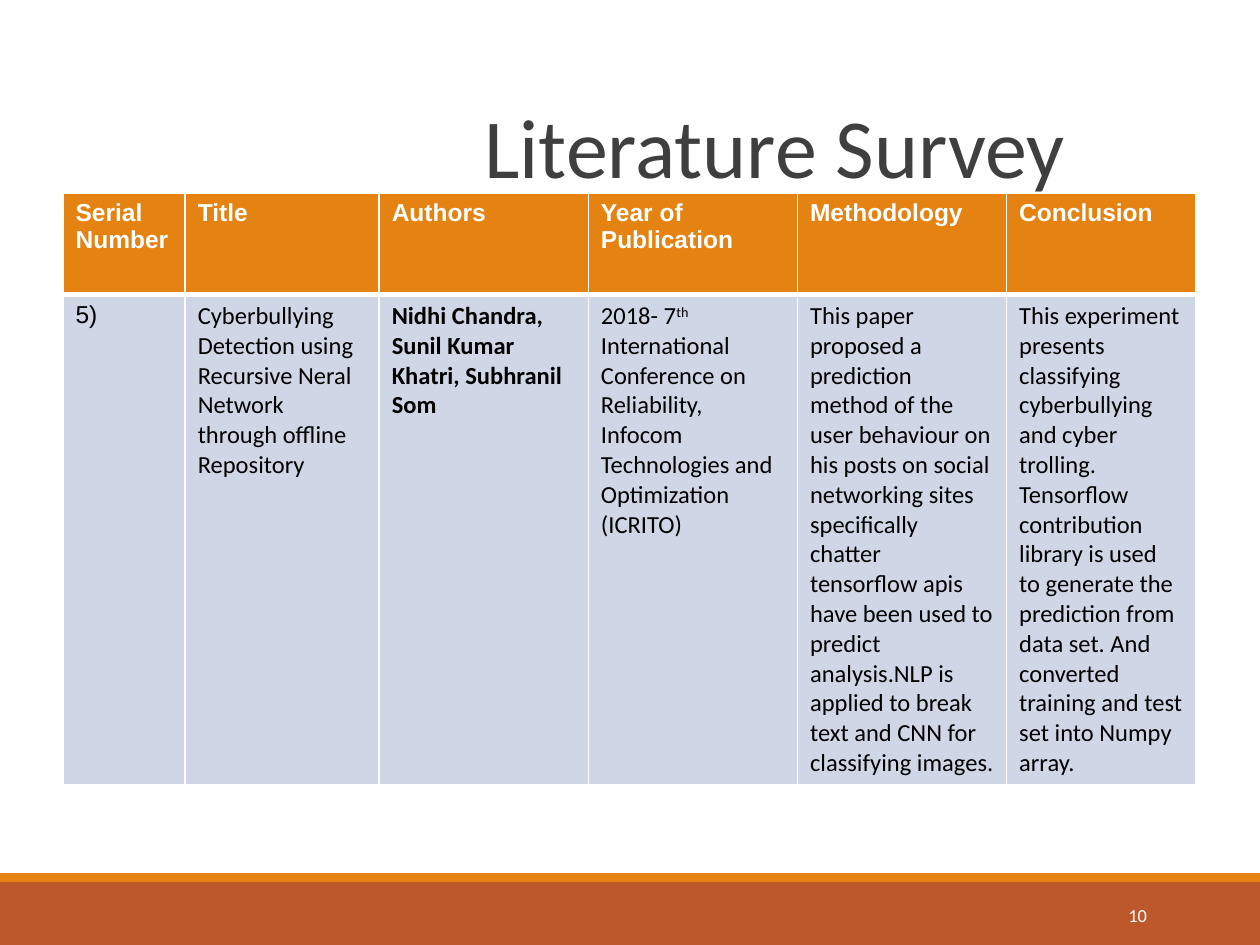
from dataclasses import dataclass

from lxml.etree import SubElement
from pptx import Presentation
from pptx.dml.color import RGBColor
from pptx.enum.shapes import MSO_CONNECTOR, MSO_SHAPE
from pptx.enum.text import MSO_ANCHOR, PP_ALIGN
from pptx.oxml.ns import qn
from pptx.util import Inches, Pt


@dataclass(frozen=True)
class Theme:
    accent: str = "E48312"
    band: str = "BD582C"
    body_fill: str = "CFD7E7"
    rule: str = "7F7F7F"
    title: str = "3F3F3F"
    ink: str = "000000"
    paper: str = "FFFFFF"
    font: str = "Calibri"
    head_font: str = "Arial"
    title_size: float = 48
    table_size: float = 14
    number_size: float = 10.5
    thin: int = 1
    thick: int = 3


def apply(target, values):
    for name, value in values.items():
        setattr(target, name, value)


class SlideBuilder:
    def __init__(self, prs, theme):
        self.theme = theme
        self.s = prs.slides.add_slide(prs.slide_layouts[5])

    def add_text(self, p, runs, size, color, font=None, bold=False, align=PP_ALIGN.LEFT):
        p.alignment = align
        for text, baseline in runs:
            r = p.add_run()
            r.text = text
            apply(r.font, {"size": Pt(size), "name": font or self.theme.font, "bold": bold})
            r.font.color.rgb = RGBColor.from_string(color)
            if baseline:
                r._r.get_or_add_rPr().set("baseline", str(baseline))

    def bar(self, top, height, color):
        sp = self.s.shapes.add_shape(
            MSO_SHAPE.RECTANGLE, 0, Inches(top), Inches(10), Inches(height))
        sp.shadow.inherit = False
        sp.fill.solid()
        sp.fill.fore_color.rgb = RGBColor.from_string(color)
        sp.line.fill.background()

    def rule(self, left, right, y):
        line = self.s.shapes.add_connector(
            MSO_CONNECTOR.STRAIGHT, Inches(left), Inches(y), Inches(right), Inches(y))
        line.line.width = Pt(0.75)
        line.line.color.rgb = RGBColor.from_string(self.theme.rule)
        SubElement(line._element.spPr, qn("a:effectLst"))

    def title(self, text):
        sp = self.s.shapes.title
        apply(sp, {"left": Inches(0.9), "top": Inches(0.31),
                   "width": Inches(8.25), "height": Inches(1.59)})
        tf = sp.text_frame
        apply(tf, {"vertical_anchor": MSO_ANCHOR.MIDDLE, "word_wrap": True,
                   "margin_left": Inches(2.35), "margin_top": Inches(0.14)})
        self.add_text(tf.paragraphs[0], [(text, 0)], self.theme.title_size,
                      self.theme.title, align=PP_ALIGN.CENTER)

    def number(self, text):
        sp = self.s.shapes.add_textbox(Inches(8.12), Inches(7.06), Inches(1.08), Inches(0.4))
        tf = sp.text_frame
        apply(tf, {"vertical_anchor": MSO_ANCHOR.MIDDLE, "word_wrap": True})
        self.add_text(tf.paragraphs[0], [(text, 0)], self.theme.number_size,
                      self.theme.paper, align=PP_ALIGN.RIGHT)

    def borders(self, cell, bottom):
        tc_pr = cell._tc.get_or_add_tcPr()
        widths = {"lnL": self.theme.thin, "lnR": self.theme.thin,
                  "lnT": self.theme.thin, "lnB": bottom}
        for i, (tag, width) in enumerate(widths.items()):
            ln = tc_pr.makeelement(qn(f"a:{tag}"), {"w": str(Pt(width))})
            fill = SubElement(ln, qn("a:solidFill"))
            SubElement(fill, qn("a:srgbClr"), {"val": self.theme.paper})
            tc_pr.insert(i, ln)

    def cell(self, cell, runs, fill, bottom, **style):
        cell.fill.solid()
        cell.fill.fore_color.rgb = RGBColor.from_string(fill)
        self.borders(cell, bottom)
        self.add_text(cell.text_frame.paragraphs[0], runs, self.theme.table_size, **style)

    def table(self, left, top, widths, heights, headers, entries):
        t = self.theme
        table = self.s.shapes.add_table(
            len(heights), len(widths), Inches(left), Inches(top),
            Inches(sum(widths)), Inches(sum(heights))).table
        for column, width in zip(table.columns, widths):
            column.width = Inches(width)
        for row, height in zip(table.rows, heights):
            row.height = Inches(height)
        for i, (header, (runs, style)) in enumerate(zip(headers, entries)):
            self.cell(table.cell(0, i), [(header, 0)], t.accent, t.thick,
                      color=t.paper, font=t.head_font, bold=True)
            self.cell(table.cell(1, i), runs, t.body_fill, t.thin, color=t.ink, **style)


HEADERS = ["Serial Number", "Title", "Authors", "Year of Publication",
           "Methodology", "Conclusion"]


def main():
    prs = Presentation()
    apply(prs, {"slide_width": Inches(10), "slide_height": Inches(7.5)})
    theme = Theme()
    entries = [
        ([("5)", 0)], {"font": theme.head_font}),
        ([("Cyberbullying Detection using Recursive Neral Network through "
           "offline Repository", 0)], {}),
        ([("Nidhi Chandra, Sunil Kumar Khatri, Subhranil Som", 0)], {"bold": True}),
        ([("2018- 7", 0), ("th", 30000),
          (" International Conference on Reliability, Infocom Technologies and "
           "Optimization (ICRITO)", 0)], {}),
        ([("This paper proposed a prediction method of the user behaviour on his "
           "posts on social networking sites specifically chatter tensorflow apis "
           "have been used to predict analysis.NLP is applied to break text and "
           "CNN for classifying images.", 0)], {}),
        ([("This experiment presents classifying cyberbullying and cyber trolling. "
           "Tensorflow contribution library is used to generate the prediction from "
           "data set. And converted training and test set into Numpy array.", 0)], {}),
    ]
    slide = SlideBuilder(prs, theme)
    slide.bar(7, 0.5, theme.band)
    slide.bar(6.93, 0.07, theme.accent)
    slide.rule(0.98, 9.15, 1.9)
    slide.title("Literature Survey")
    slide.number("10")
    slide.table(0.5, 1.53, [0.97, 1.54, 1.66, 1.66, 1.66, 1.5], [0.81, 3.89],
                HEADERS, entries)
    prs.save("out.pptx")


if __name__ == "__main__":
    main()
